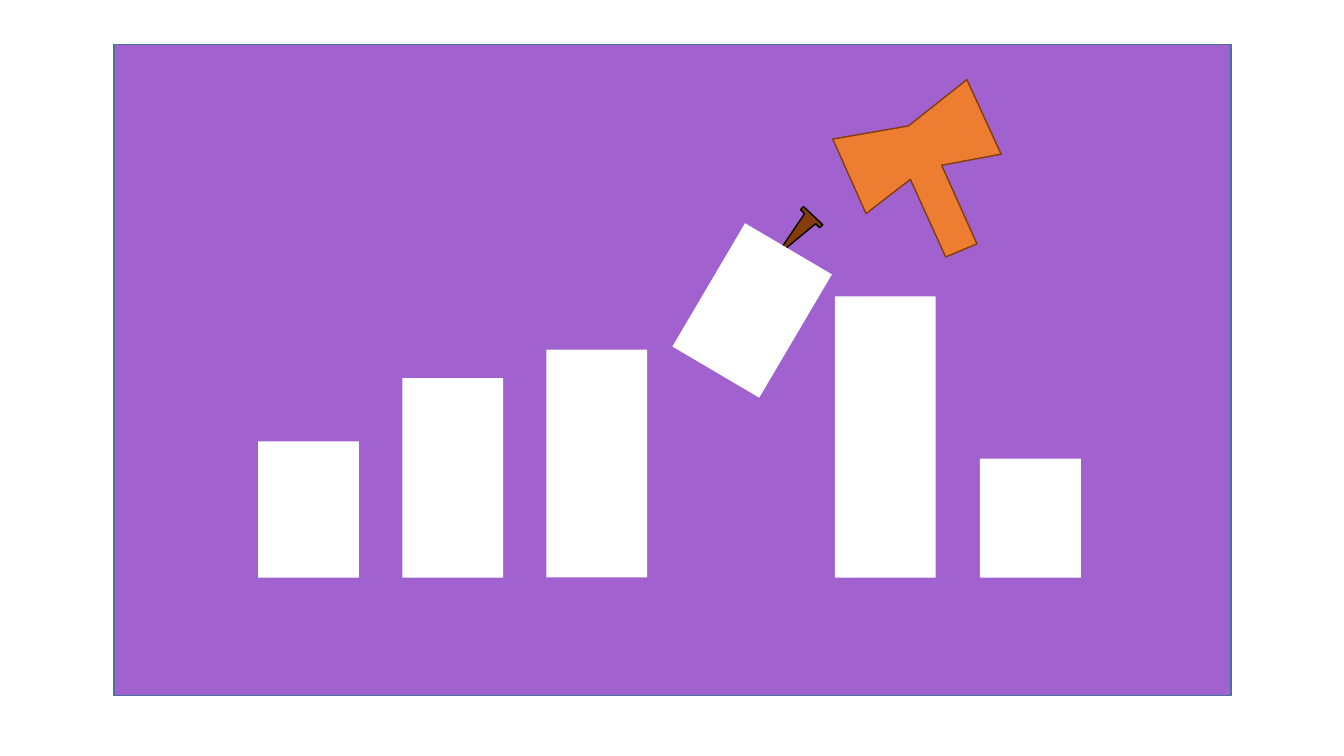
from pptx import Presentation
from pptx.dml.color import RGBColor
from pptx.enum.shapes import MSO_SHAPE
from pptx.util import Pt

PX = 9144
WHITE = RGBColor(0xFF, 0xFF, 0xFF)
BLACK = RGBColor(0x00, 0x00, 0x00)
PURPLE = RGBColor(0xA1, 0x62, 0xD0)
BLUE = RGBColor(0x43, 0x73, 0x9E)
BROWN = RGBColor(0x84, 0x3C, 0x0B)
ORANGE = RGBColor(0xED, 0x7D, 0x31)

PANEL = (113, 44, 1108, 646)
HEIGHTS = (135, 198, 226, None, 279, 118)
NAIL = ((0, 50), (29, 7), (25, 3), (28, 0), (47, 18), (44, 21), (40, 17))
HAMMER = ((0, 59), (75, 46), (133, 0), (167, 74), (108, 85),
          (143, 163), (112, 176), (77, 99), (33, 133))


def paint(shape, fill, line=None):
    """Set the fill and outline of a shape."""
    shape.shadow.inherit = False
    shape.fill.solid()
    shape.fill.fore_color.rgb = fill
    if line is None:
        shape.line.fill.background()
    else:
        shape.line.color.rgb = line
        shape.line.width = Pt(1)


def add_rect(slide, box, fill, line=None, turn=0):
    """Add a rectangle in a px box, turned by some degrees."""
    rect = slide.shapes.add_shape(MSO_SHAPE.RECTANGLE, *(n * PX for n in box))
    rect.rotation = turn
    paint(rect, fill, line)


def add_form(slide, left, top, points, fill, line):
    """Add a closed outline whose points are px from its corner."""
    spots = [(left + x, top + y) for x, y in points]
    form = slide.shapes.build_freeform(*spots[0], scale=PX)
    form.add_line_segments(spots[1:], close=True)
    paint(form.convert_to_shape(), fill, line)


def add_bars(slide, box):
    """Draw the upright bars on one base line, leaving a gap for None."""
    left, top, width, height = box
    for i, tall in enumerate(HEIGHTS):
        if tall is not None:
            x = left + i * (width - 100) // (len(HEIGHTS) - 1)
            add_rect(slide, (x, top + height - tall, 100, tall), WHITE)


def add_tools(slide, box):
    """Draw the nail, the tilted bar over its tip, and the hammer."""
    left, top = box[:2]
    add_form(slide, left + 656, top + 161, NAIL, BROWN, BLACK)
    add_rect(slide, (left + 583, top + 193, 100, 142), WHITE, turn=30.5)
    add_form(slide, left + 713, top + 35, HAMMER, ORANGE, BROWN)


def main():
    """Build the slide and save it."""
    deck = Presentation()
    deck.slide_width, deck.slide_height = 1333 * PX, 750 * PX
    slide = deck.slides.add_slide(deck.slide_layouts[6])
    left, top = PANEL[:2]
    add_rect(slide, PANEL, PURPLE, BLUE)
    add_bars(slide, (left + 143, top + 250, 816, 279))
    add_tools(slide, PANEL)
    deck.save("out.pptx")


if __name__ == "__main__":
    main()
